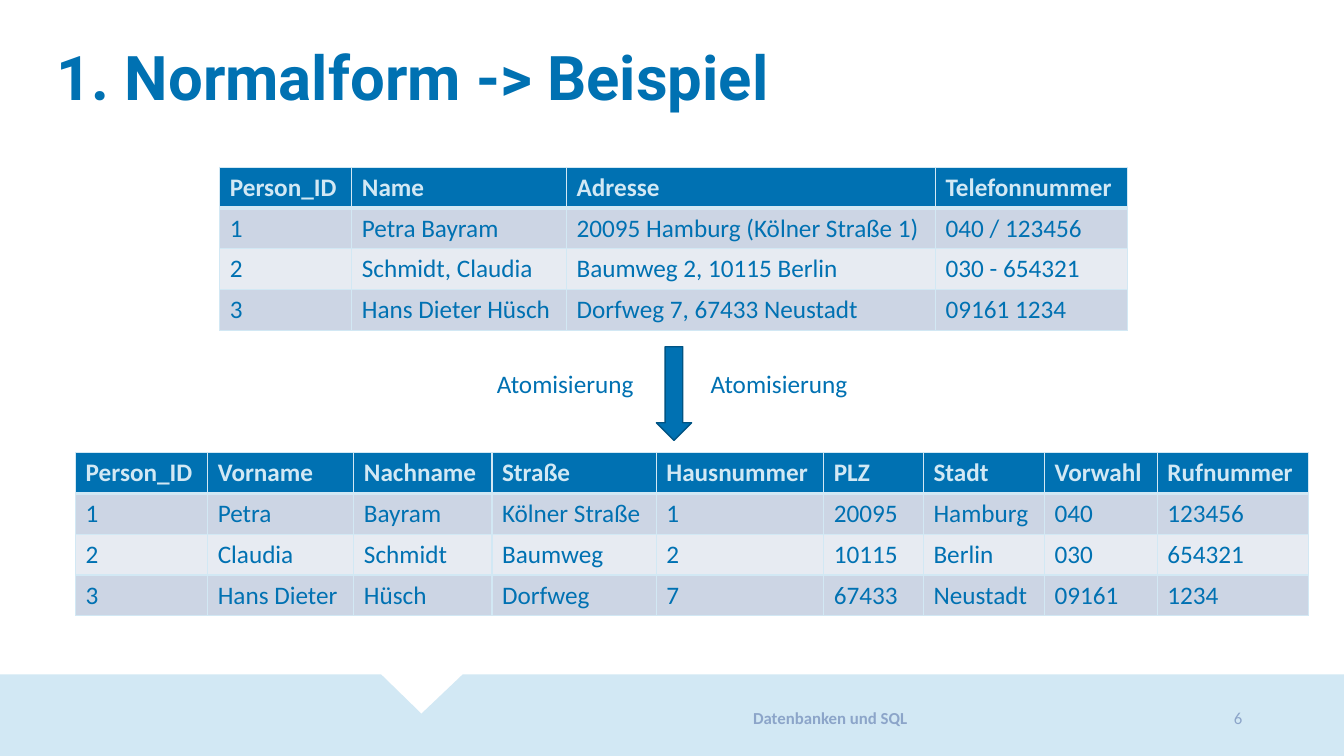
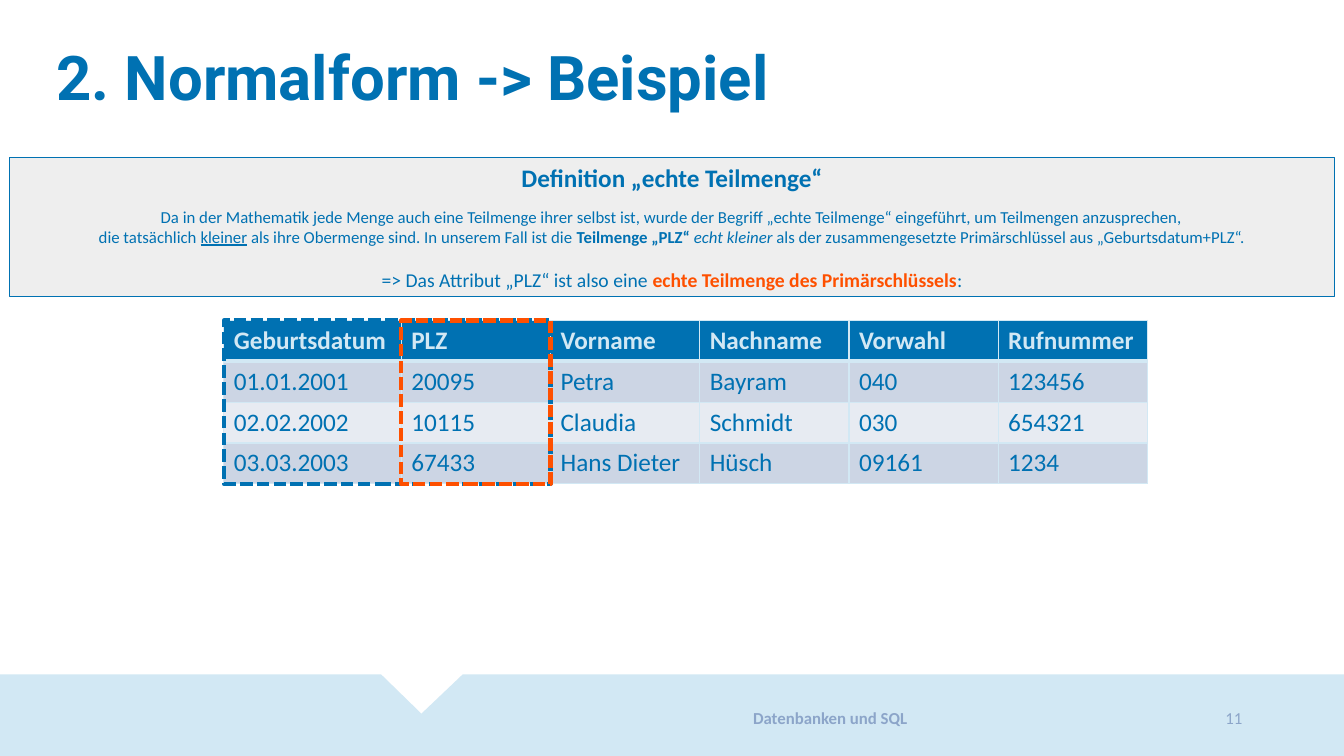
import pptx
import pptx.dml.color
import pptx.enum.dml
import pptx.enum.shapes
import pptx.enum.text
import pptx.oxml
import pptx.oxml.ns
import pptx.util

RGB = pptx.dml.color.RGBColor
SHAPE = pptx.enum.shapes.MSO_SHAPE
ALIGN = pptx.enum.text.PP_ALIGN
ANCHOR = pptx.enum.text.MSO_ANCHOR
Pt = pptx.util.Pt

BLUE = RGB(0x00, 0x71, 0xB2)
DARK_BLUE = RGB(0x00, 0x54, 0x84)
PALE_BLUE = RGB(0xD2, 0xE8, 0xF4)
FOOTER_BLUE = RGB(0x8C, 0xA5, 0xC9)
ROW_FILLS = (RGB(0xCC, 0xD5, 0xE4), RGB(0xE7, 0xEB, 0xF2))
GREY = RGB(0xEE, 0xEE, 0xEE)
ORANGE = RGB(0xFE, 0x50, 0x00)

PX = 9144  # EMU per px, 100 px to the inch
WIDTH, HEIGHT = 1333, 750
TABLE_HEIGHT = 162


def px(*lengths):
    return [round(n * PX) for n in lengths]


def write(p, text, size=18, color=BLUE, font="Calibri", bold=False, italic=False, underline=False):
    r = p.add_run()
    r.text = text
    f = r.font
    f.size, f.name, f.bold, f.italic = Pt(size), font, bold, italic
    if underline:
        f.underline = True
    f.color.rgb = color


def add_text(s, box, text, align=ALIGN.LEFT, anchor=ANCHOR.TOP, wrap=True, line_spacing=None, **fmt):
    tf = s.shapes.add_textbox(*px(*box)).text_frame
    tf.word_wrap, tf.vertical_anchor = wrap, anchor
    p = tf.paragraphs[0]
    p.alignment, p.line_spacing = align, line_spacing
    write(p, text, **fmt)


def add_box(s, box, kind=SHAPE.RECTANGLE, fill=None, line=BLUE, weight=1, dash=None):
    sp = s.shapes.add_shape(kind, *px(*box))
    sp.shadow.inherit = False
    if fill is None:
        sp.fill.background()
    else:
        sp.fill.solid()
        sp.fill.fore_color.rgb = fill
    sp.line.color.rgb, sp.line.width = line, Pt(weight)
    if dash:
        sp.line.dash_style = dash
    return sp


def add_band(s, top):
    """Footer band with a notch in its upper edge."""
    outline = [(378, top), (418, top + 39), (459, top), (WIDTH, top), (WIDTH, HEIGHT), (0, HEIGHT)]
    builder = s.shapes.build_freeform(0, top, scale=PX)
    builder.add_line_segments(outline, close=True)
    sp = builder.convert_to_shape()
    sp.shadow.inherit = False
    sp.fill.solid()
    sp.fill.fore_color.rgb = PALE_BLUE
    sp.line.fill.background()


def add_slide(prs, title, number):
    s = prs.slides.add_slide(prs.slide_layouts[6])
    add_band(s, 669)
    add_text(s, (46, 42, 820, 79), title, size=44, font="Roboto", bold=True, line_spacing=0.9)
    footer = dict(anchor=ANCHOR.MIDDLE, size=12, color=FOOTER_BLUE)
    add_text(s, (587, 690, 473, 45), "Datenbanken und SQL", align=ALIGN.CENTER, bold=True, **footer)
    add_text(s, (1060, 690, 182, 45), str(number), align=ALIGN.RIGHT, **footer)
    return s


def set_borders(cell, top=1, bottom=1):
    tc_pr = cell._tc.get_or_add_tcPr()
    for i, (side, weight) in enumerate((("L", 1), ("R", 1), ("T", top), ("B", bottom))):
        tc_pr.insert(i, pptx.oxml.parse_xml(
            f'<a:ln{side} {pptx.oxml.ns.nsdecls("a")} w="{Pt(weight)}"><a:solidFill>'
            f'<a:srgbClr val="{PALE_BLUE}"/></a:solidFill></a:ln{side}>'))


def add_data_table(s, left, top, widths, rows):
    """Table with a blue heading row and alternating body rows."""
    box = px(left, top, sum(widths), TABLE_HEIGHT)
    table = s.shapes.add_table(len(rows), len(widths), *box).table
    for column, width in zip(table.columns, px(*widths)):
        column.width = width
    for i, row in enumerate(rows):
        table.rows[i].height = px(TABLE_HEIGHT / len(rows))[0]
        heading = i == 0
        for j, text in enumerate(row):
            cell = table.cell(i, j)
            cell.fill.solid()
            cell.fill.fore_color.rgb = BLUE if heading else ROW_FILLS[(i - 1) % 2]
            set_borders(cell, top=3 if i == 1 else 1, bottom=3 if heading else 1)
            write(cell.text_frame.paragraphs[0], text, bold=heading,
                  color=PALE_BLUE if heading else BLUE)


def add_definition(s, box):
    tf = add_box(s, box, fill=GREY, weight=0.75).text_frame
    tf.word_wrap, tf.vertical_anchor = True, ANCHOR.TOP
    small, result = dict(size=12), dict(size=14)
    paragraphs = [
        (0, [("Definition „echte Teilmenge“", dict(bold=True))]),
        (10, [("Da in der Mathematik jede Menge auch eine Teilmenge ihrer selbst ist, wurde der Begriff "
               "„echte Teilmenge“ eingeführt, um Teilmengen anzusprechen,", small)]),
        (0, [("die tatsächlich ", small),
             ("kleiner", dict(small, underline=True)),
             (" als ihre Obermenge sind. In unserem Fall ist die ", small),
             ("Teilmenge „PLZ“ ", dict(small, bold=True)),
             ("echt kleiner ", dict(small, italic=True)),
             ("als der zusammengesetzte Primärschlüssel aus „Geburtsdatum+PLZ“.", small)]),
        (15, [("=> Das Attribut „PLZ“ ist also eine ", result),
              ("echte Teilmenge des Primärschlüssels", dict(result, bold=True, color=ORANGE)),
              (":", result)]),
    ]
    for i, (space, runs) in enumerate(paragraphs):
        p = tf.add_paragraph() if i else tf.paragraphs[0]
        p.alignment = ALIGN.CENTER
        if space:
            p.space_before = Pt(space)
        for text, fmt in runs:
            write(p, text, **fmt)


def add_atomisation(s, left, top):
    """Down arrow with the same label on both sides."""
    add_box(s, (left + 168, top, 35, 93), SHAPE.DOWN_ARROW, fill=BLUE, line=DARK_BLUE)
    for x in (left, left + 212):
        add_text(s, (x, top + 17, 157, 40), "Atomisierung", wrap=False)


def first_normal_form(prs):
    s = add_slide(prs, "1. Normalform -> Beispiel", 6)
    add_data_table(s, 218, 166, (131, 213, 366, 190), [
        ("Person_ID", "Name", "Adresse", "Telefonnummer"),
        ("1", "Petra Bayram", "20095 Hamburg (Kölner Straße 1)", "040 / 123456"),
        ("2", "Schmidt, Claudia", "Baumweg 2, 10115 Berlin", "030 - 654321"),
        ("3", "Hans Dieter Hüsch", "Dorfweg 7, 67433 Neustadt", "09161 1234"),
    ])
    add_data_table(s, 75, 449, (131, 145, 137, 163, 166, 99, 120, 112, 150), [
        ("Person_ID", "Vorname", "Nachname", "Straße", "Hausnummer", "PLZ", "Stadt", "Vorwahl", "Rufnummer"),
        ("1", "Petra", "Bayram", "Kölner Straße", "1", "20095", "Hamburg", "040", "123456"),
        ("2", "Claudia", "Schmidt", "Baumweg", "2", "10115", "Berlin", "030", "654321"),
        ("3", "Hans Dieter", "Hüsch", "Dorfweg", "7", "67433", "Neustadt", "09161", "1234"),
    ])
    add_atomisation(s, 483, 344)


def second_normal_form(prs):
    s = add_slide(prs, "2. Normalform -> Beispiel", 11)
    left, top, date, other = 222, 318, 176, 148
    add_data_table(s, left, top, (date,) + (other,) * 5, [
        ("Geburtsdatum", "PLZ", "Vorname", "Nachname", "Vorwahl", "Rufnummer"),
        ("01.01.2001", "20095", "Petra", "Bayram", "040", "123456"),
        ("02.02.2002", "10115", "Claudia", "Schmidt", "030", "654321"),
        ("03.03.2003", "67433", "Hans Dieter", "Hüsch", "09161", "1234"),
    ])
    add_definition(s, (9, 156, 1315, 138))
    for x, width, color in ((left, date + other, BLUE), (left + date, other, ORANGE)):
        add_box(s, (x, top, width, TABLE_HEIGHT), line=color, weight=3,
                dash=pptx.enum.dml.MSO_LINE.SQUARE_DOT)


def main():
    prs = pptx.Presentation()
    prs.slide_width, prs.slide_height = px(WIDTH, HEIGHT)
    first_normal_form(prs)
    second_normal_form(prs)
    prs.save("out.pptx")


if __name__ == "__main__":
    main()
